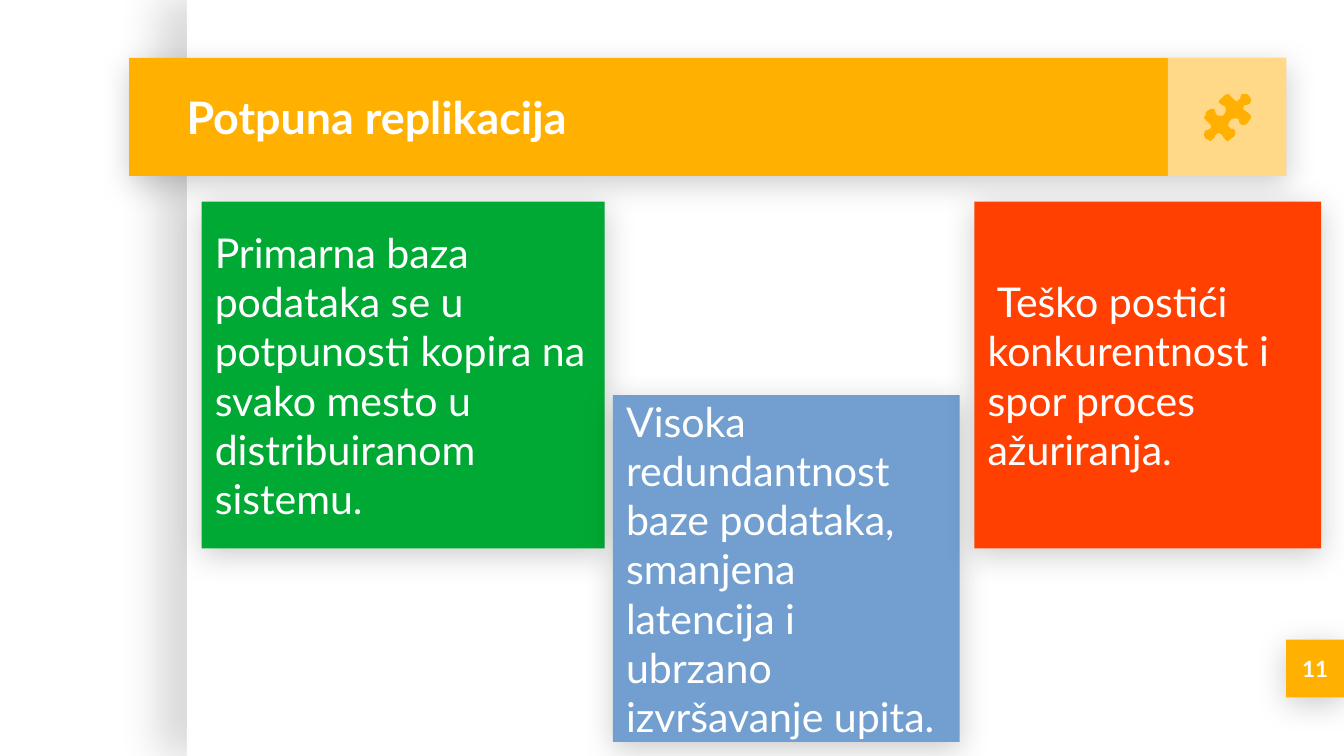
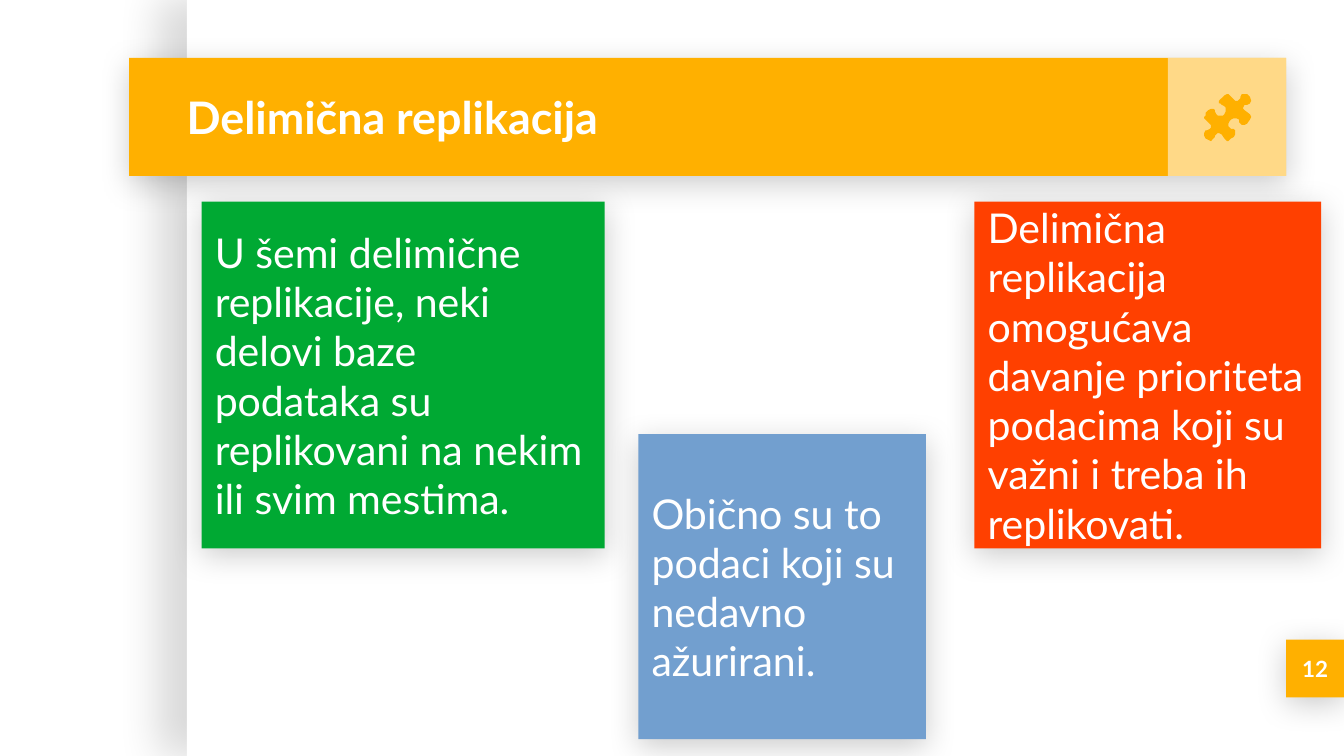
from typing import NamedTuple

from lxml.etree import SubElement
from pptx import Presentation
from pptx.dml.color import RGBColor
from pptx.enum.shapes import MSO_SHAPE
from pptx.enum.text import MSO_ANCHOR, PP_ALIGN
from pptx.oxml.ns import qn
from pptx.util import Inches, Pt

WHITE = RGBColor(0xFF, 0xFF, 0xFF)
BLACK = RGBColor(0x00, 0x00, 0x00)
AMBER = RGBColor(0xFF, 0xB0, 0x00)
GREEN = RGBColor(0x00, 0xA9, 0x33)
BLUE = RGBColor(0x72, 0x9F, 0xCF)
RED = RGBColor(0xFF, 0x40, 0x00)
FONT = "Lato"


class Area(NamedTuple):
    left: float
    top: float
    width: float
    height: float


class Shadow(NamedTuple):
    opacity: int
    blur: float
    distance: float
    angle: int


class Card(NamedTuple):
    area: Area
    color: RGBColor
    text: str


class Topic(NamedTuple):
    title: str
    number: int
    cards: list[Card]


# Widescreen page, 16:9
PAGE_WIDTH = 10
PAGE_HEIGHT = PAGE_WIDTH * 9 / 16

PANEL = Area(1.39, 0, 8.61, PAGE_HEIGHT)
BAND = Area(0.96, 0.43, 8.61, 0.88)
TITLE = Area(1.29, 0.43, 7.37, 0.88)
ICON_TILE = Area(8.69, 0.43, 0.88, 0.88)
NUMBER_TILE = Area(9.57, 4.76, 0.43, 0.43)
LEFT_CARD = Area(1.5, 1.5, 3, 2.58)
RIGHT_CARD = Area(7.25, 1.5, 2.58, 2.58)

SIDE_SHADOW = Shadow(15, 22.5, 15, 180)
DROP_SHADOW = Shadow(20, 16.9, 3.7, 90)

# Puzzle piece outline, in hundredths of an inch from its corner
PUZZLE_LEFT, PUZZLE_TOP = 896, 70
PUZZLE = [
    (17, 0), (15, 1), (13, 3), (12, 4), (11, 5), (11, 7), (12, 7), (13, 8),
    (15, 9), (16, 10), (16, 13), (15, 15), (14, 16), (12, 16), (10, 16),
    (9, 15), (8, 13), (8, 12), (7, 11), (5, 11), (3, 12), (1, 14), (1, 16),
    (0, 17), (0, 18), (1, 19), (4, 22), (5, 23), (5, 25), (4, 26), (2, 27),
    (1, 27), (0, 29), (0, 31), (1, 33), (3, 34), (5, 35), (6, 34), (7, 33),
    (8, 32), (8, 31), (9, 30), (10, 29), (11, 29), (13, 30), (15, 33),
    (17, 35), (18, 35), (20, 33), (22, 32), (23, 30), (23, 27), (22, 26),
    (20, 26), (19, 25), (18, 24), (18, 22), (19, 20), (20, 19), (22, 18),
    (24, 18), (26, 19), (26, 21), (27, 22), (28, 23), (30, 23), (32, 22),
    (34, 19), (35, 17), (34, 15), (30, 12), (29, 11), (29, 10), (30, 8),
    (32, 8), (34, 7), (35, 5), (34, 2), (32, 0), (28, 0), (27, 2), (27, 3),
    (26, 4), (25, 5), (23, 5), (22, 4), (19, 1), (18, 0),
]

TOPICS = [
    Topic("Potpuna replikacija", 11, [
        Card(LEFT_CARD, GREEN, "Primarna baza podataka se u potpunosti kopira "
             "na svako mesto u distribuiranom sistemu."),
        Card(Area(4.56, 2.94, 2.58, 2.58), BLUE,
             "Visoka redundantnost baze podataka, smanjena latencija i "
             "ubrzano izvršavanje upita."),
        Card(RIGHT_CARD, RED,
             " Teško postići konkurentnost i spor proces ažuriranja."),
    ]),
    Topic("Delimična replikacija", 12, [
        Card(LEFT_CARD, GREEN, "U šemi delimične replikacije, neki delovi baze "
             "podataka su replikovani na nekim ili svim mestima."),
        Card(Area(4.75, 3.23, 2.14, 2.27), BLUE,
             "Obično su to podaci koji su nedavno ažurirani."),
        Card(RIGHT_CARD, RED, "Delimična replikacija omogućava davanje "
             "prioriteta podacima koji su važni i treba ih replikovati."),
    ]),
]


def inches(area: Area) -> list[Inches]:
    return [Inches(length) for length in area]


def paint(shape, color: RGBColor) -> None:
    shape.shadow.inherit = False
    shape.fill.solid()
    shape.fill.fore_color.rgb = color
    shape.line.fill.background()


def add_shadow(shape, shadow: Shadow) -> None:
    effects = shape.element.spPr.find(qn("a:effectLst"))
    outer = SubElement(effects, qn("a:outerShdw"), {
        "blurRad": str(Pt(shadow.blur)),
        "dist": str(Pt(shadow.distance)),
        "dir": str(shadow.angle * 60000),
        "algn": "ctr",
        "rotWithShape": "0",
    })
    color = SubElement(outer, qn("a:srgbClr"), val=str(BLACK))
    SubElement(color, qn("a:alpha"), val=str(shadow.opacity * 1000))


def add_block(page, area: Area, color: RGBColor,
              shadow: Shadow | None = None, opacity: int = 100):
    block = page.shapes.add_shape(MSO_SHAPE.RECTANGLE, *inches(area))
    paint(block, color)
    if shadow:
        add_shadow(block, shadow)
    if opacity < 100:
        fill = block.element.spPr.find(qn("a:solidFill"))
        SubElement(fill[0], qn("a:alpha"), val=str(opacity * 1000))
    return block


def write(shape, text: str, *, size: float, bold: bool = False,
          align: PP_ALIGN = PP_ALIGN.LEFT) -> None:
    frame = shape.text_frame
    frame.word_wrap = True
    frame.vertical_anchor = MSO_ANCHOR.MIDDLE
    frame.margin_left = frame.margin_right = Inches(0.1)
    frame.margin_top = frame.margin_bottom = Inches(0.1)
    para = frame.paragraphs[0]
    para.alignment = align
    span = para.add_run()
    span.text = text
    span.font.name = FONT
    span.font.size = Pt(size)
    span.font.bold = bold
    span.font.color.rgb = WHITE


def add_puzzle(page) -> None:
    points = [(PUZZLE_LEFT + x, PUZZLE_TOP + y) for x, y in PUZZLE]
    builder = page.shapes.build_freeform(*points[0], scale=Inches(0.01))
    builder.add_line_segments(points[1:], close=True)
    paint(builder.convert_to_shape(), AMBER)


def add_frame(page, title: str, number: int) -> None:
    # Side panel, title band and number tile
    add_block(page, PANEL, WHITE, SIDE_SHADOW)
    add_block(page, NUMBER_TILE, AMBER, DROP_SHADOW)
    add_block(page, BAND, AMBER, DROP_SHADOW)
    add_block(page, ICON_TILE, WHITE, opacity=53)

    # Title and page number
    title_box = page.shapes.add_textbox(*inches(TITLE))
    write(title_box, title, size=24, bold=True)
    number_box = page.shapes.add_textbox(*inches(NUMBER_TILE))
    write(number_box, str(number), size=12, bold=True, align=PP_ALIGN.CENTER)
    add_puzzle(page)


def add_topic(deck, topic: Topic) -> None:
    page = deck.slides.add_slide(deck.slide_layouts[6])
    add_frame(page, topic.title, topic.number)
    for card in topic.cards:
        box = add_block(page, card.area, card.color, DROP_SHADOW)
        write(box, card.text, size=22)


def main() -> None:
    deck = Presentation()
    deck.slide_width = Inches(PAGE_WIDTH)
    deck.slide_height = Inches(PAGE_HEIGHT)
    for topic in TOPICS:
        add_topic(deck, topic)
    deck.save("out.pptx")


if __name__ == "__main__":
    main()
